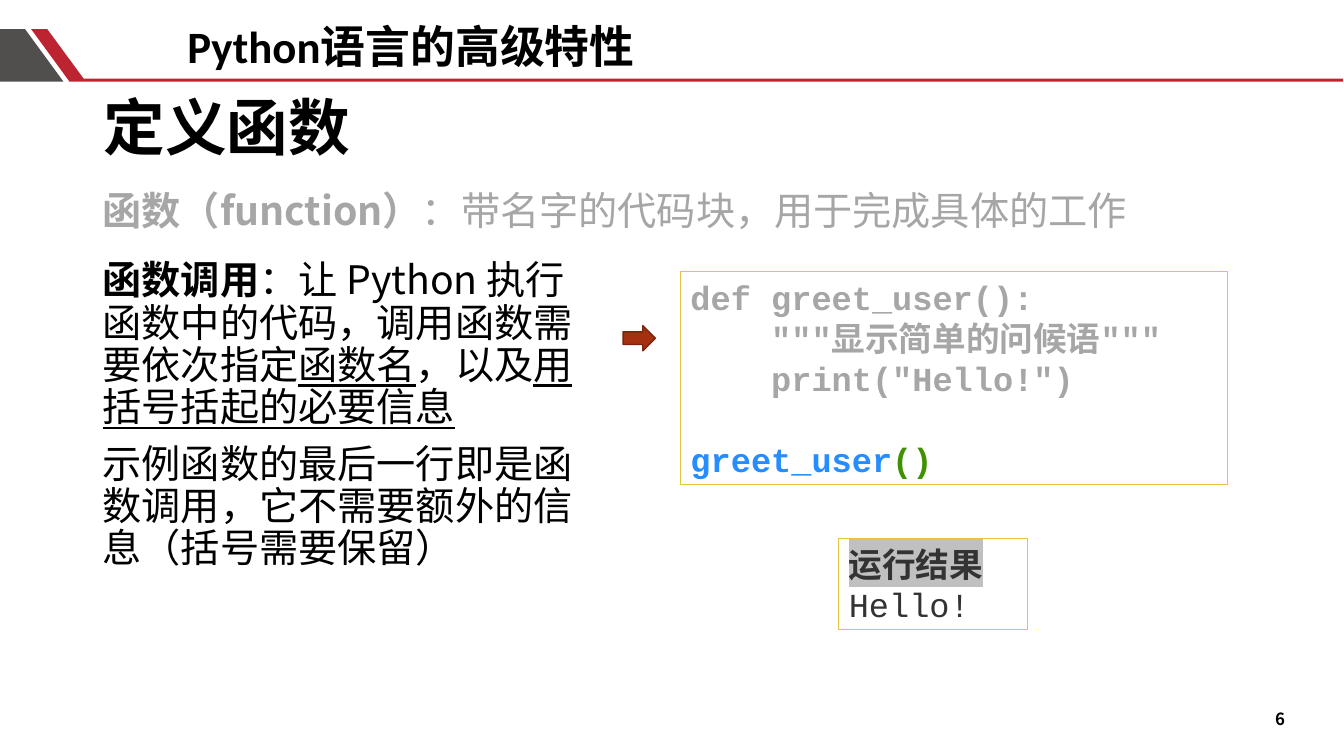
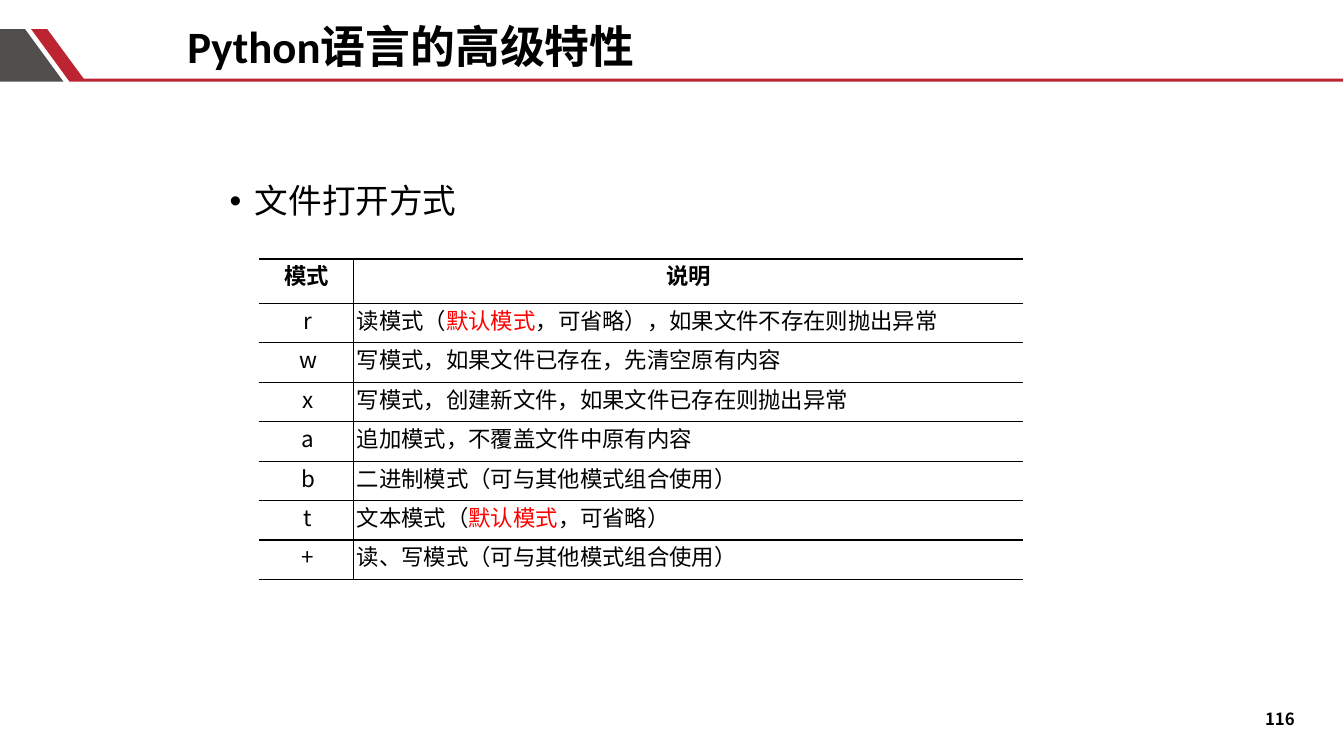
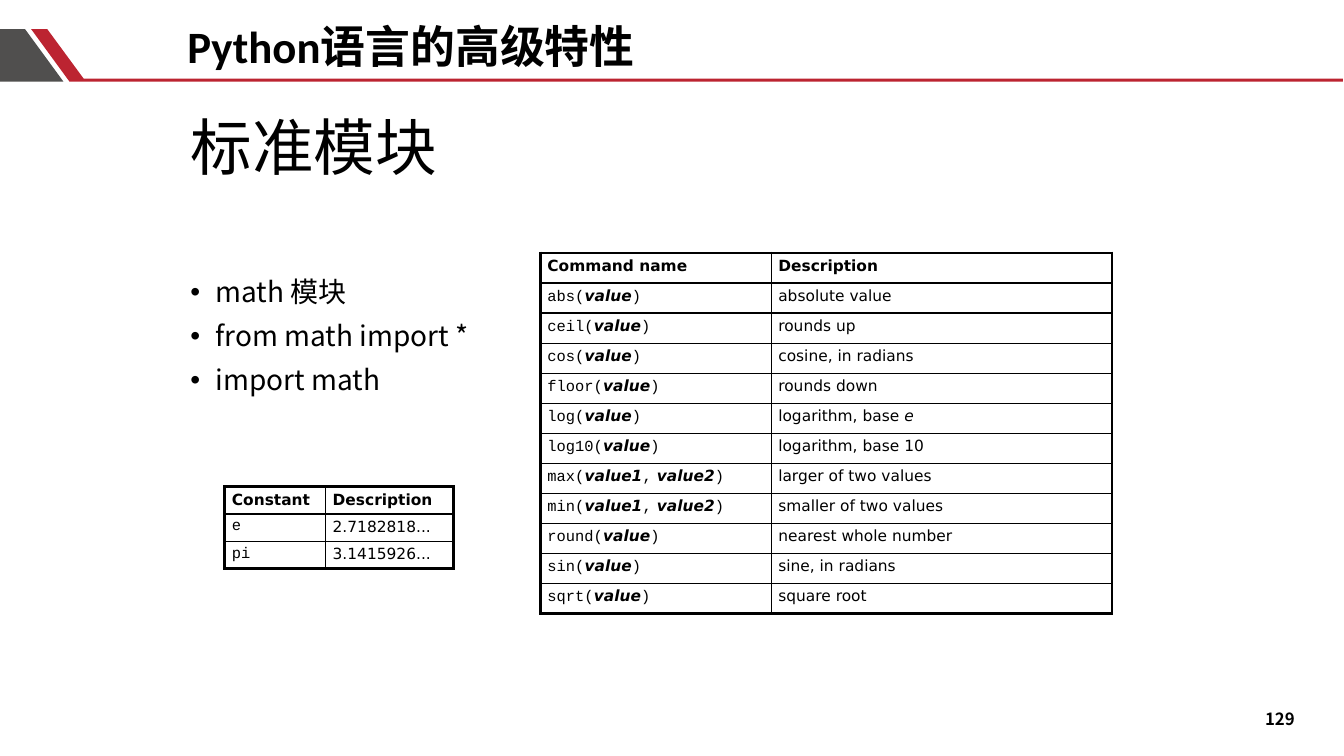
from copy import deepcopy

from lxml.etree import SubElement
from pptx import Presentation
from pptx.dml.color import RGBColor
from pptx.enum.shapes import MSO_SHAPE
from pptx.enum.text import MSO_ANCHOR, PP_ALIGN
from pptx.oxml.ns import qn
from pptx.util import Inches, Pt

CJK, MONO, SANS = "Noto Sans CJK SC", "Courier New", "DejaVu Sans"
BLACK, GREY, RED = "000000", "A6A6A6", "FF0000"
BAND_RED, BAND_GREY = "BC2431", "504F4E"
GOLD, ARROW, ARROW_EDGE = "E5C243", "A5300F", "7A240B"
CALL_BLUE, CALL_GREEN, RESULT, MARKER = "258DFF", "3F9101", "333333", "C0C0C0"

HEADING = "Python语言的高级特性"
BODY = {"line_spacing": 0.9, "space_before": Pt(10)}
INSETS = (0.1, 0.05, 0.1, 0.05)

MODES = [
    ("r", [("读模式（", {}), ("默认模式", {"color": RED}),
           ("，可省略），如果文件不存在则抛出异常", {})]),
    ("w", "写模式，如果文件已存在，先清空原有内容"),
    ("x", "写模式，创建新文件，如果文件已存在则抛出异常"),
    ("a", "追加模式，不覆盖文件中原有内容"),
    ("b", "二进制模式（可与其他模式组合使用）"),
    ("t", [("文本模式（", {}), ("默认模式", {"color": RED}), ("，可省略）", {})]),
    ("+", "读、写模式（可与其他模式组合使用）"),
]
COMMANDS = [
    ("abs", ["value"], "absolute value"),
    ("ceil", ["value"], "rounds up"),
    ("cos", ["value"], "cosine, in radians"),
    ("floor", ["value"], "rounds down"),
    ("log", ["value"], [("logarithm, base ", {}), ("e", {"italic": True})]),
    ("log10", ["value"], "logarithm, base 10"),
    ("max", ["value1", "value2"], "larger of two values"),
    ("min", ["value1", "value2"], "smaller of two values"),
    ("round", ["value"], "nearest whole number"),
    ("sin", ["value"], "sine, in radians"),
    ("sqrt", ["value"], "square root"),
]
CONSTANTS = [("e", "2.7182818..."), ("pi", "3.1415926...")]


def rgb(value):
    return RGBColor.from_string(value)


def box(at):
    return [Inches(v) for v in at]


def set_attrs(target, values):
    for name, value in values.items():
        setattr(target, name, value)


def add_run(p, text, color=BLACK, highlight=None, **font):
    """Add one run; an East Asian face and a highlight go in as XML."""
    r = p.add_run()
    r.text = text
    r.font.color.rgb = rgb(color)
    set_attrs(r.font, font)
    latin = r._r.rPr.find(qn("a:latin"))
    ea = SubElement(r._r.rPr, qn("a:ea"), typeface=CJK)
    latin.addnext(ea)
    if highlight:
        mark = SubElement(r._r.rPr, qn("a:highlight"))
        SubElement(mark, qn("a:srgbClr"), val=highlight)
        latin.addprevious(mark)
    return r


def add_bullet(p):
    pPr = p._p.get_or_add_pPr()
    indent = Inches(0.25)
    pPr.set("marL", str(indent))
    pPr.set("indent", str(-indent))
    SubElement(pPr, qn("a:buFont"), typeface="Arial")
    SubElement(pPr, qn("a:buChar"), char="•")


def write(tf, paragraphs, font, para=None, bullet=False):
    """Fill a frame; a paragraph is a string or a list of (text, format) runs."""
    for i, runs in enumerate(paragraphs):
        p = tf.add_paragraph() if i else tf.paragraphs[0]
        if bullet:
            add_bullet(p)
        set_attrs(p, para or {})
        if not i:
            p.space_before = Pt(0)
        if isinstance(runs, str):
            runs = [(runs, {})]
        for text, extra in runs:
            for n, line in enumerate(text.split("\n")):
                if n:
                    p.add_line_break()
                    p._p[-1].append(deepcopy(r._r.rPr))
                if line:
                    r = add_run(p, line, **{**font, **extra})


def frame(sp, anchor=MSO_ANCHOR.TOP):
    tf = sp.text_frame
    margins = zip(("left", "top", "right", "bottom"), box(INSETS))
    set_attrs(tf, {f"margin_{side}": value for side, value in margins})
    set_attrs(tf, {"word_wrap": True, "vertical_anchor": anchor})
    return tf


def add_text(s, at, paragraphs, font, para=None, bullet=False, **layout):
    tf = frame(s.shapes.add_textbox(*box(at)), **layout)
    write(tf, paragraphs, font, para, bullet)


def add_outline(s, points, color):
    start, *rest = [box(point) for point in points]
    builder = s.shapes.build_freeform(*start)
    builder.add_line_segments(rest, close=True)
    sp = builder.convert_to_shape()
    sp.shadow.inherit = False
    sp.fill.solid()
    sp.fill.fore_color.rgb = rgb(color)
    sp.line.fill.background()


def add_framed_code(s, at, paragraphs, color):
    sp = s.shapes.add_shape(MSO_SHAPE.RECTANGLE, *box(at))
    sp.shadow.inherit = False
    sp.fill.background()
    sp.line.color.rgb = rgb(GOLD)
    sp.line.width = Pt(0.75)
    font = {"name": MONO, "size": Pt(24), "color": color, "bold": True}
    write(frame(sp, anchor=MSO_ANCHOR.MIDDLE), paragraphs, font,
          {"alignment": PP_ALIGN.LEFT})


def add_arrow(s, at):
    sp = s.shapes.add_shape(MSO_SHAPE.RIGHT_ARROW, *box(at))
    sp.shadow.inherit = False
    sp.fill.solid()
    sp.fill.fore_color.rgb = rgb(ARROW)
    sp.line.color.rgb = rgb(ARROW_EDGE)
    sp.line.width = Pt(1)


def add_title(s, at, text, bold):
    font = {"name": "Montserrat", "size": Pt(44), "bold": bold}
    add_text(s, at, [text], font, {"line_spacing": 0.9})


def set_borders(cell, widths):
    """Draw the four edges, given as points for left, right, top, bottom."""
    tcPr = cell._tc.get_or_add_tcPr()
    for n, (side, width) in enumerate(zip("LRTB", widths)):
        ln = SubElement(tcPr, qn(f"a:ln{side}"), w=str(Pt(width)))
        tcPr.insert(n, ln)
        if width:
            fill = SubElement(ln, qn("a:solidFill"))
            SubElement(fill, qn("a:srgbClr"), val=BLACK)
        else:
            SubElement(ln, qn("a:noFill"))


def add_grid(s, at, cols, rows, style, sides, ends, head=None):
    """Draw a ruled table; style(row, col) gives font, alignment and insets.

    sides and ends are the widths of the vertical and horizontal outer rules;
    head is the height of the first row when it differs from the others.
    """
    table = s.shapes.add_table(len(rows), len(cols), *box(at)).table
    set_attrs(table, {"first_row": False, "horz_banding": False})
    for col, width in zip(table.columns, cols):
        col.width = Inches(width)
    last_row, last_col = len(rows) - 1, len(cols) - 1
    head = head or at[3] / len(rows)
    for i, row in enumerate(rows):
        table.rows[i].height = Inches((at[3] - head) / last_row if i else head)
        for j, content in enumerate(row):
            cell = table.cell(i, j)
            cell.fill.background()
            font, align, insets = style(i, j)
            names = ("margin_left", "margin_top", "margin_right", "margin_bottom")
            set_attrs(cell, dict(zip(names, box(insets))))
            write(cell.text_frame, [content], font, {"alignment": align})
            set_borders(cell, (sides if j == 0 else 1,
                               sides if j == last_col else 1,
                               ends if i == 0 else 1,
                               ends if i == last_row else 1))


def mode_style(i, j):
    font = {"name": CJK, "size": Pt(16), "bold": i == 0}
    align = PP_ALIGN.LEFT if i and j else PP_ALIGN.CENTER
    return font, align, (0.03 if i else 0, 0, 0, 0)


def reference_style(i, j):
    font = {"name": SANS if i == 0 or j else MONO, "size": Pt(11), "bold": i == 0}
    return font, PP_ALIGN.LEFT, (0.07, 0.04, 0.07, 0.04)


def call_runs(name, args):
    """Set a call in code type with its arguments in bold italics."""
    runs = [(f"{name}(", {})]
    for i, arg in enumerate(args):
        if i:
            runs += [(",", {}), (" ", {"name": SANS})]
        runs.append((arg, {"name": SANS, "bold": True, "italic": True}))
    return runs + [(")", {})]


def new_slide(prs, number):
    """Start a slide with the band, heading and page number they all share."""
    s = prs.slides.add_slide(prs.slide_layouts[6])
    add_outline(s, [(0.86, 0.81), (0.69, 0.81), (0.31, 0.29), (0.47, 0.29),
                    (0.83, 0.78), (13.32, 0.78), (13.32, 0.81)], BAND_RED)
    add_outline(s, [(0, 0.29), (0.25, 0.29), (0.63, 0.81), (0, 0.81)], BAND_GREY)
    add_text(s, (12.34, 6.98, 0.71, 0.3), [str(number)],
             {"name": CJK, "size": Pt(12), "bold": True},
             {"alignment": PP_ALIGN.CENTER}, anchor=MSO_ANCHOR.MIDDLE)
    add_text(s, (1.76, 0.14, 6.21, 0.55), [HEADING],
             {"name": "Calibri", "size": Pt(32), "bold": True})
    return s


def function_slide(prs):
    s = new_slide(prs, 6)
    add_title(s, (0.93, 0.92, 8.49, 1.45), "定义函数", True)
    bold, underlined = {"bold": True}, {"underline": True}
    add_text(s, (0.92, 1.85, 11.5, 4.76),
             [[("函数（", bold), ("function", {"name": CJK, "bold": True}),
               ("）", bold), ("：带名字的代码块，用于完成具体的工作", {})]],
             {"name": "Arial", "size": Pt(28), "color": GREY}, BODY)
    add_text(s, (0.92, 2.54, 5.04, 4.42),
             [[("函数调用", bold),
               ("：让 Python 执行函数中的代码，调用函数需要依次指定", {}),
               ("函数名", underlined), ("，以及", {}),
               ("用括号括起的必要信息", underlined)],
              "示例函数的最后一行即是函数调用，它不需要额外的信息（括号需要保留）"],
             {"name": CJK, "size": Pt(28)}, BODY)
    add_arrow(s, (6.18, 3.23, 0.32, 0.25))
    code = ('def greet_user():\n    """显示简单的问候语"""\n'
            '    print("Hello!")\n\n')
    add_framed_code(s, (6.75, 2.69, 5.42, 2.12),
                    [[(code, {}), ("greet_user", {"color": CALL_BLUE}),
                      ("()", {"color": CALL_GREEN})]], GREY)
    add_framed_code(s, (8.32, 5.34, 1.87, 0.91),
                    [[("运行结果", {"highlight": MARKER})],
                     [("Hello!", {"bold": False})]], RESULT)


def file_mode_slide(prs):
    s = new_slide(prs, 116)
    add_text(s, (2.18, 1.78, 8.62, 4.76), ["文件打开方式"],
             {"name": CJK, "size": Pt(24)}, BODY, bullet=True)
    add_grid(s, (2.57, 2.57, 7.58, 3.18), (0.94, 6.64),
             [("模式", "说明")] + MODES, mode_style, sides=0, ends=1, head=0.44)


def math_module_slide(prs):
    s = new_slide(prs, 129)
    add_title(s, (1.79, 1.11, 8.62, 1.45), "标准模块", False)
    add_text(s, (1.79, 2.71, 8.62, 4.76),
             ["math 模块", "from math import *", "import math"],
             {"name": CJK, "size": Pt(20)}, BODY, bullet=True)
    commands = [("Command name", "Description")]
    commands += [(call_runs(name, args), note) for name, args, note in COMMANDS]
    constants = [("Constant", "Description")] + CONSTANTS
    for at, cols, rows in (
            ((5.36, 2.51, 5.68, 3.58), (2.29, 3.38), commands),
            ((2.23, 4.83, 2.27, 0.81), (1, 1.27), constants)):
        add_grid(s, at, cols, rows, reference_style, sides=2.25, ends=2.25)


def main():
    prs = Presentation()
    set_attrs(prs, {"slide_width": Inches(13.33), "slide_height": Inches(7.5)})
    for build in (function_slide, file_mode_slide, math_module_slide):
        build(prs)
    prs.save("out.pptx")


if __name__ == "__main__":
    main()
